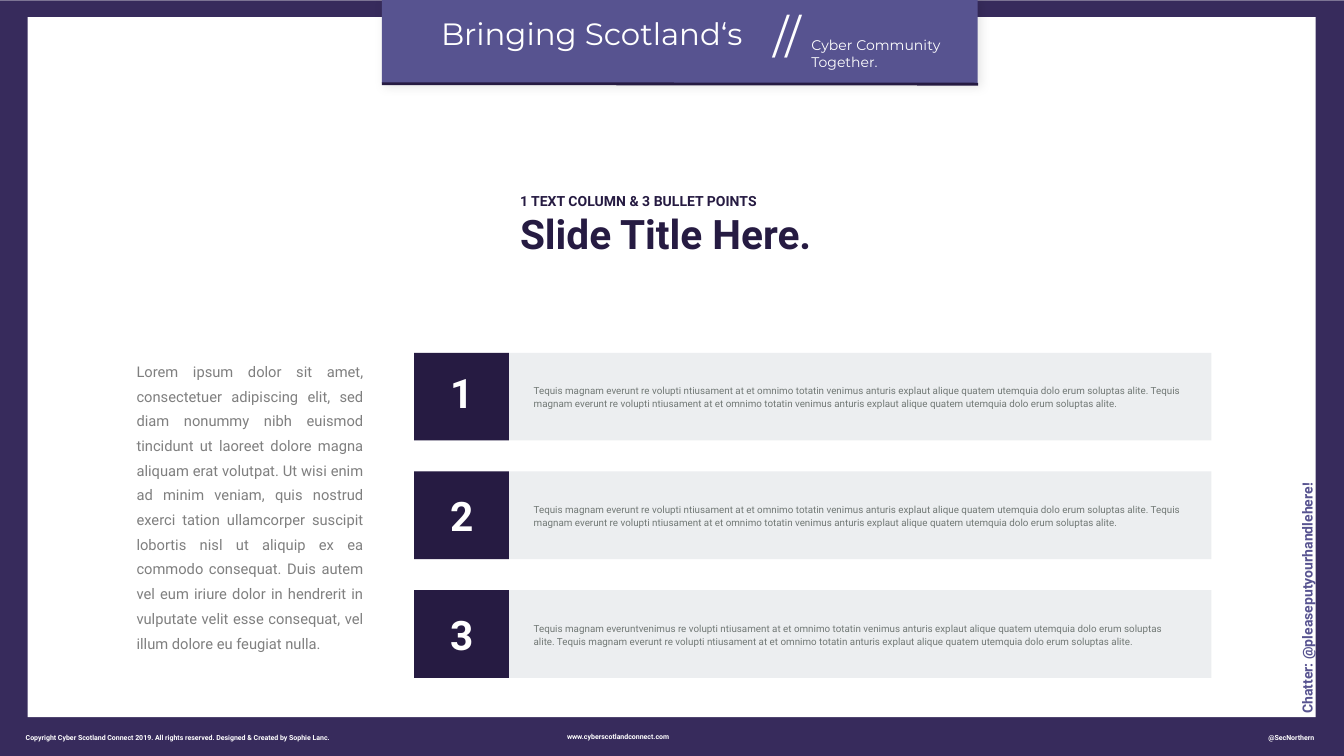
from lxml.etree import SubElement
from pptx import Presentation
from pptx.dml.color import RGBColor
from pptx.enum.shapes import MSO_CONNECTOR, MSO_SHAPE
from pptx.enum.text import MSO_ANCHOR, PP_ALIGN
from pptx.oxml.ns import qn
from pptx.util import Inches, Pt

WHITE = RGBColor(0xFF, 0xFF, 0xFF)
FRAME = RGBColor(0x37, 0x2B, 0x5C)
BANNER = RGBColor(0x57, 0x53, 0x90)
NAVY = RGBColor(0x26, 0x1B, 0x42)
PALE = RGBColor(0xEC, 0xEE, 0xF0)
BODY_GRAY = RGBColor(0x7F, 0x7F, 0x7F)
POINT_GRAY = RGBColor(0x71, 0x78, 0x75)

LOREM = (
    "Lorem ipsum dolor sit amet, consectetuer adipiscing elit, sed diam nonummy nibh euismod "
    "tincidunt ut laoreet dolore magna aliquam erat volutpat. Ut wisi enim ad minim veniam, quis "
    "nostrud exerci tation ullamcorper suscipit lobortis nisl ut aliquip ex ea commodo consequat. "
    "Duis autem vel eum iriure dolor in hendrerit in vulputate velit esse consequat, vel illum "
    "dolore eu feugiat nulla."
)
TEQUIS = (
    "Tequis magnam everunt re volupti ntiusament at et omnimo totatin venimus anturis explaut "
    "alique quatem utemquia dolo erum soluptas alite."
)
POINT_TEXT = f"{TEQUIS} {TEQUIS}"
LAST_POINT_TEXT = (
    f"{TEQUIS.replace('everunt', 'everuntvenimus')} {TEQUIS.replace('totatin venimus', 'totatin')}"
)
POINTS = [(POINT_TEXT, 0.13), (POINT_TEXT, 0.21), (LAST_POINT_TEXT, 0.21)]
FIRST_ROW_TOP = 7
ROW_PITCH = 2.355


def add_rectangle(slide, left, top, width, height, color):
    """Add a plain filled rectangle."""
    shape = slide.shapes.add_shape(
        MSO_SHAPE.RECTANGLE, Inches(left), Inches(top), Inches(width), Inches(height)
    )
    shape.shadow.inherit = False
    shape.fill.solid()
    shape.fill.fore_color.rgb = color
    shape.line.fill.background()
    return shape


def add_text(slide, left, top, width, height, lines, color, font="Roboto", bold=False,
             align=PP_ALIGN.LEFT, anchor=MSO_ANCHOR.TOP, inset=0, spacing=None):
    """Add a text box with one paragraph for each (text, size) pair."""
    box = slide.shapes.add_textbox(Inches(left), Inches(top), Inches(width), Inches(height))
    frame = box.text_frame
    frame.word_wrap = True
    frame.vertical_anchor = anchor
    frame.margin_left = frame.margin_right = Inches(inset)
    frame.margin_top = frame.margin_bottom = Inches(inset)
    for index, (text, size) in enumerate(lines):
        paragraph = frame.add_paragraph() if index else frame.paragraphs[0]
        paragraph.text = text
        paragraph.alignment = align
        if spacing:
            paragraph.line_spacing = spacing
        paragraph.font.name = font
        paragraph.font.size = Pt(size)
        paragraph.font.bold = bold
        paragraph.font.color.rgb = color
    return box


def add_soft_shadow(shape):
    """Give a shape a faint shadow towards the lower right."""
    effects = shape._element.spPr.find(qn("a:effectLst"))
    shadow = SubElement(effects, qn("a:outerShdw"), blurRad=str(Pt(15)), dist=str(Pt(5)),
                        dir="2700000", algn="tl", rotWithShape="0")
    color = SubElement(shadow, qn("a:srgbClr"), val="000000")
    SubElement(color, qn("a:alpha"), val="10000")


def add_rule(slide, start_x, start_y, end_x, end_y, color, weight):
    """Add a straight line without a shadow."""
    rule = slide.shapes.add_connector(
        MSO_CONNECTOR.STRAIGHT, Inches(start_x), Inches(start_y), Inches(end_x), Inches(end_y)
    )
    rule.line.color.rgb = color
    rule.line.width = Pt(weight)
    SubElement(rule._element.spPr, qn("a:effectLst"))


def add_banner(slide):
    """Add the banner with the slogan at the top."""
    add_soft_shadow(add_rectangle(slide, 7.58, -0.04, 11.82, 1.69, BANNER))
    add_rule(slide, 7.58, 1.66, 19.41, 1.67, NAVY, 4)
    add_text(slide, 8.59, 0.3, 6.31, 0.74, [("Bringing Scotland‘s", 44)], WHITE,
             "Montserrat", align=PP_ALIGN.CENTER)
    add_text(slide, 14.2, 0.15, 2.83, 1.09, [("//", 65)], WHITE,
             "Montserrat", align=PP_ALIGN.CENTER)
    add_text(slide, 16.1, 0.73, 3.31, 0.67, [("Cyber Community", 20), ("Together.", 20)],
             WHITE, "Montserrat")


def add_footer(slide):
    """Add the three footer texts."""
    footer = [
        (0.02, 14.56, 7.01, "Copyright Cyber Scotland Connect 2019. All rights reserved. "
                            "Designed & Created by Sophie Lanc."),
        (11.05, 14.54, 2.43, "www.cyberscotlandconnect.com"),
        (25.07, 14.56, 1.11, "@SecNorthern"),
    ]
    for left, top, width, text in footer:
        add_text(slide, left, top, width, 0.17, [(text, 10)], WHITE, bold=True,
                 align=PP_ALIGN.CENTER, anchor=MSO_ANCHOR.MIDDLE)


def add_point(slide, number, top, text, number_offset):
    """Add one numbered bar with its text."""
    add_rectangle(slide, 8.22, top, 15.82, 1.74, PALE)
    add_rectangle(slide, 8.22, top, 1.88, 1.74, NAVY)
    add_text(slide, 10.54, top + 0.36, 13, 1.02, [(text, 14)], POINT_GRAY,
             anchor=MSO_ANCHOR.MIDDLE, inset=0.05, spacing=1.1)
    add_text(slide, 8.35, top + number_offset, 1.63, 1.32, [(str(number), 58)], WHITE,
             bold=True, align=PP_ALIGN.CENTER, anchor=MSO_ANCHOR.MIDDLE, inset=0.05)


def main():
    """Build and save the slide."""
    presentation = Presentation()
    presentation.slide_width = Inches(26.67)
    presentation.slide_height = Inches(15)
    slide = presentation.slides.add_slide(presentation.slide_layouts[6])

    add_rectangle(slide, 0, 0.01, 26.67, 15, FRAME)
    add_rectangle(slide, 0.55, 0.34, 25.56, 13.89, WHITE)
    add_banner(slide)
    add_footer(slide)

    add_text(slide, 2.66, 7.01, 4.6, 5.99, [(LOREM, 21)], BODY_GRAY,
             align=PP_ALIGN.JUSTIFY, inset=0.05, spacing=1.4)
    for index, (text, number_offset) in enumerate(POINTS):
        add_point(slide, index + 1, FIRST_ROW_TOP + index * ROW_PITCH, text, number_offset)

    handle = add_text(slide, 23.53, 11.59, 4.82, 0.33,
                      [("Chatter: @pleaseputyourhandlehere!", 20)], BANNER, bold=True,
                      anchor=MSO_ANCHOR.BOTTOM)
    handle.rotation = 270
    add_text(slide, 10.32, 3.82, 6.17, 1.31,
             [("1 TEXT COLUMN & 3 BULLET POINTS", 20), ("Slide Title Here.", 58)],
             NAVY, bold=True)

    presentation.save("out.pptx")


if __name__ == "__main__":
    main()
